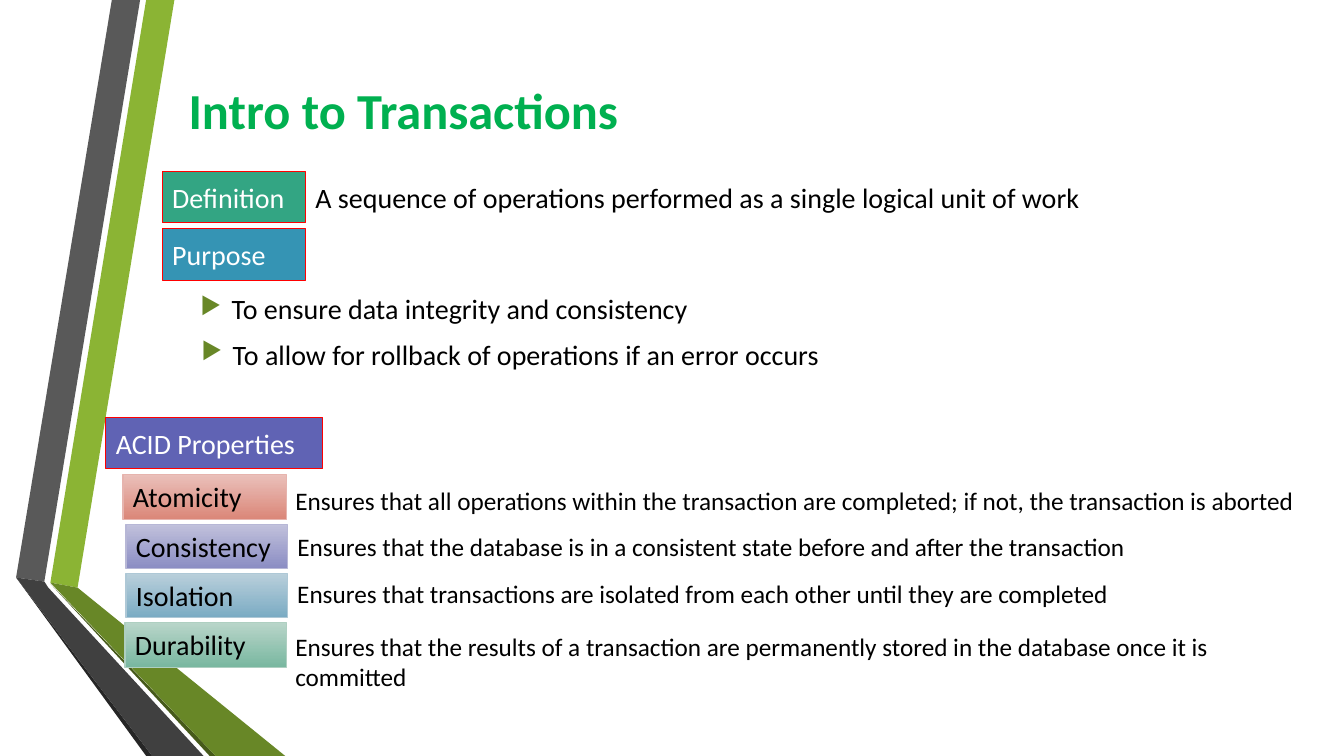
"""Build the slide that introduces database transactions and the ACID properties."""
import lxml.etree
import pptx
import pptx.dml.color
import pptx.enum.shapes
import pptx.enum.text
import pptx.oxml.ns
import pptx.util

Inches = pptx.util.Inches
RGBColor = pptx.dml.color.RGBColor
ANCHOR = pptx.enum.text.MSO_ANCHOR

WHITE = RGBColor(0xFF, 0xFF, 0xFF)
BLACK = RGBColor(0, 0, 0)
RED = RGBColor(0xFF, 0, 0)
TITLE_GREEN = RGBColor(0, 0xB0, 0x50)
TEAL = RGBColor(0x33, 0xA5, 0x83)
BLUE = RGBColor(0x35, 0x94, 0xB4)
PURPLE = RGBColor(0x60, 0x63, 0xB4)
LIME = RGBColor(0x8B, 0xB4, 0x34)
OLIVE = RGBColor(0x68, 0x87, 0x27)
DARK_OLIVE = RGBColor(0x46, 0x5A, 0x1A)
GRAY = RGBColor(0x59, 0x59, 0x59)
CHARCOAL = RGBColor(0x40, 0x40, 0x40)
NEAR_BLACK = RGBColor(0x26, 0x26, 0x26)
ROSE = [RGBColor.from_string(value) for value in ("EAC0BA", "DB8779", "E6B4AE")]
LILAC = [RGBColor.from_string(value) for value in ("C1C1DC", "8B8DC3", "B7B7D6")]
SKY = [RGBColor.from_string(value) for value in ("B9CFDB", "7AABC3", "AEC8D6")]
MINT = [RGBColor.from_string(value) for value in ("B8D5C9", "79B7A0", "AECFC1")]

RIBBONS = [
    (LIME, [(0.5, 5.78), (0.77, 5.83), (1.73, 0), (1.45, 0)]),
    (GRAY, [(1.39, 0), (1.11, 0), (0.16, 5.73), (0.44, 5.77)]),
    (NEAR_BLACK, [(0.16, 5.73), (1.45, 7.5), (1.51, 7.5)]),
    (DARK_OLIVE, [(0.5, 5.79), (2.08, 7.5), (2.14, 7.5)]),
    (OLIVE, [(0.5, 5.78), (2.14, 7.5), (2.83, 7.5), (0.77, 5.83)]),
    (CHARCOAL, [(2.02, 7.5), (0.48, 5.83), (0.44, 5.77), (0.16, 5.73), (1.51, 7.5)]),
]
LABELS = [
    ("Definition", TEAL, (1.61, 1.7, 1.42, 0.51)),
    ("Purpose", BLUE, (1.61, 2.27, 1.42, 0.51)),
    ("ACID Properties", PURPLE, (1.05, 4.14, 2.15, 0.51)),
]
PURPOSES = [
    ("To ensure data integrity and consistency", (1.89, 2.9, 5.2, 0.32)),
    ("To allow for rollback of operations if an error occurs", (1.9, 3.35, 6.41, 0.32)),
]
PROPERTIES = [
    ("Atomicity", ROSE, (1.22, 1.62), (2.83, 4.77, 10.31, 0.4),
     "Ensures that all operations within the transaction are completed; "
     "if not, the transaction is aborted"),
    ("Consistency", LILAC, (1.25, 1.6), (2.85, 5.22, 8.62, 0.4),
     "Ensures that the database is in a consistent state before and after the transaction"),
    ("Isolation", SKY, (1.25, 1.6), (2.85, 5.69, 8.46, 0.4),
     "Ensures that transactions are isolated from each other until they are completed"),
    ("Durability", MINT, (1.24, 1.6), (2.83, 6.21, 10.31, 0.71),
     "Ensures that the results of a transaction are permanently stored "
     "in the database once it is committed"),
]
PROPERTY_TOP, PROPERTY_STEP, PROPERTY_HEIGHT = 4.71, 0.49, 0.44


def set_attributes(target, values):
    """Set each named attribute of the target."""
    for name, value in values.items():
        setattr(target, name, value)


def write_text(shape, text, size=20, color=BLACK, anchor=ANCHOR.MIDDLE, bold=False):
    """Write one left-aligned paragraph into a shape and return it."""
    set_attributes(shape.text_frame, {"word_wrap": True, "vertical_anchor": anchor})
    paragraph = shape.text_frame.paragraphs[0]
    paragraph.alignment = pptx.enum.text.PP_ALIGN.LEFT
    run = paragraph.add_run()
    run.text = text
    set_attributes(run.font, {"name": "Calibri", "size": pptx.util.Pt(size), "bold": bold})
    run.font.color.rgb = color
    return paragraph


def add_text(slide, text, box, **text_format):
    """Add a text box and return its paragraph."""
    shape = slide.shapes.add_textbox(*map(Inches, box))
    return write_text(shape, text, **text_format)


def add_bullet(slide, text, box):
    """Add a text box with a triangle bullet."""
    paragraph = add_text(slide, text, box)
    properties = paragraph._p.get_or_add_pPr()
    properties.set("marL", str(Inches(0.31)))
    properties.set("indent", str(Inches(-0.31)))
    qualify = pptx.oxml.ns.qn
    bullet_color = lxml.etree.SubElement(properties, qualify("a:buClr"))
    lxml.etree.SubElement(bullet_color, qualify("a:srgbClr"), val=str(OLIVE))
    lxml.etree.SubElement(properties, qualify("a:buSzPct"), val="85000")
    lxml.etree.SubElement(properties, qualify("a:buChar"), char="▶")


def add_box(slide, box, line_color):
    """Add an outlined rectangle without a shadow."""
    rectangle = pptx.enum.shapes.MSO_SHAPE.RECTANGLE
    shape = slide.shapes.add_shape(rectangle, *map(Inches, box))
    shape.shadow.inherit = False
    shape.line.color.rgb = line_color
    shape.line.width = pptx.util.Pt(0.75)
    return shape


def add_label(slide, text, color, box):
    """Add a solid heading label."""
    shape = add_box(slide, box, RED)
    shape.fill.solid()
    shape.fill.fore_color.rgb = color
    write_text(shape, text, color=WHITE)


def add_property_label(slide, text, colors, box):
    """Add a label with a gradient running from top to bottom."""
    top_color, bottom_color, line_color = colors
    shape = add_box(slide, box, line_color)
    shape.fill.gradient()
    shape.fill.gradient_angle = 270
    for stop, position, color in zip(shape.fill.gradient_stops, (0, 1), (top_color, bottom_color)):
        stop.position = position
        stop.color.rgb = color
    write_text(shape, text, anchor=ANCHOR.TOP)


def add_ribbon(slide, color, points):
    """Add one filled polygon of the side ribbon."""
    corners = [(Inches(x), Inches(y)) for x, y in points]
    builder = slide.shapes.build_freeform(*corners[0])
    builder.add_line_segments(corners[1:], close=True)
    shape = builder.convert_to_shape()
    shape.shadow.inherit = False
    shape.fill.solid()
    shape.fill.fore_color.rgb = color
    shape.line.fill.background()


def place_title(slide, text, box):
    """Move the title placeholder and write its text."""
    title = slide.shapes.title
    set_attributes(title, dict(zip(("left", "top", "width", "height"), map(Inches, box))))
    write_text(title, text, size=36, color=TITLE_GREEN, bold=True)


def main():
    """Create the presentation and save it."""
    presentation = pptx.Presentation()
    size = {"slide_width": Inches(13.33), "slide_height": Inches(7.5)}
    set_attributes(presentation, size)
    slide = presentation.slides.add_slide(presentation.slide_layouts[5])
    for color, points in RIBBONS:
        add_ribbon(slide, color, points)
    place_title(slide, "Intro to Transactions", (1.77, 0.77, 4.67, 0.63))
    add_text(slide, "A sequence of operations performed as a single logical unit of work",
             (3.03, 1.74, 10.2, 0.43))
    for text, color, box in LABELS:
        add_label(slide, text, color, box)
    for text, box in PURPOSES:
        add_bullet(slide, text, box)
    for row, (name, colors, (left, width), box, meaning) in enumerate(PROPERTIES):
        top = PROPERTY_TOP + row * PROPERTY_STEP
        add_property_label(slide, name, colors, (left, top, width, PROPERTY_HEIGHT))
        add_text(slide, meaning, box, size=18, anchor=ANCHOR.TOP)
    presentation.save("out.pptx")


if __name__ == "__main__":
    main()
